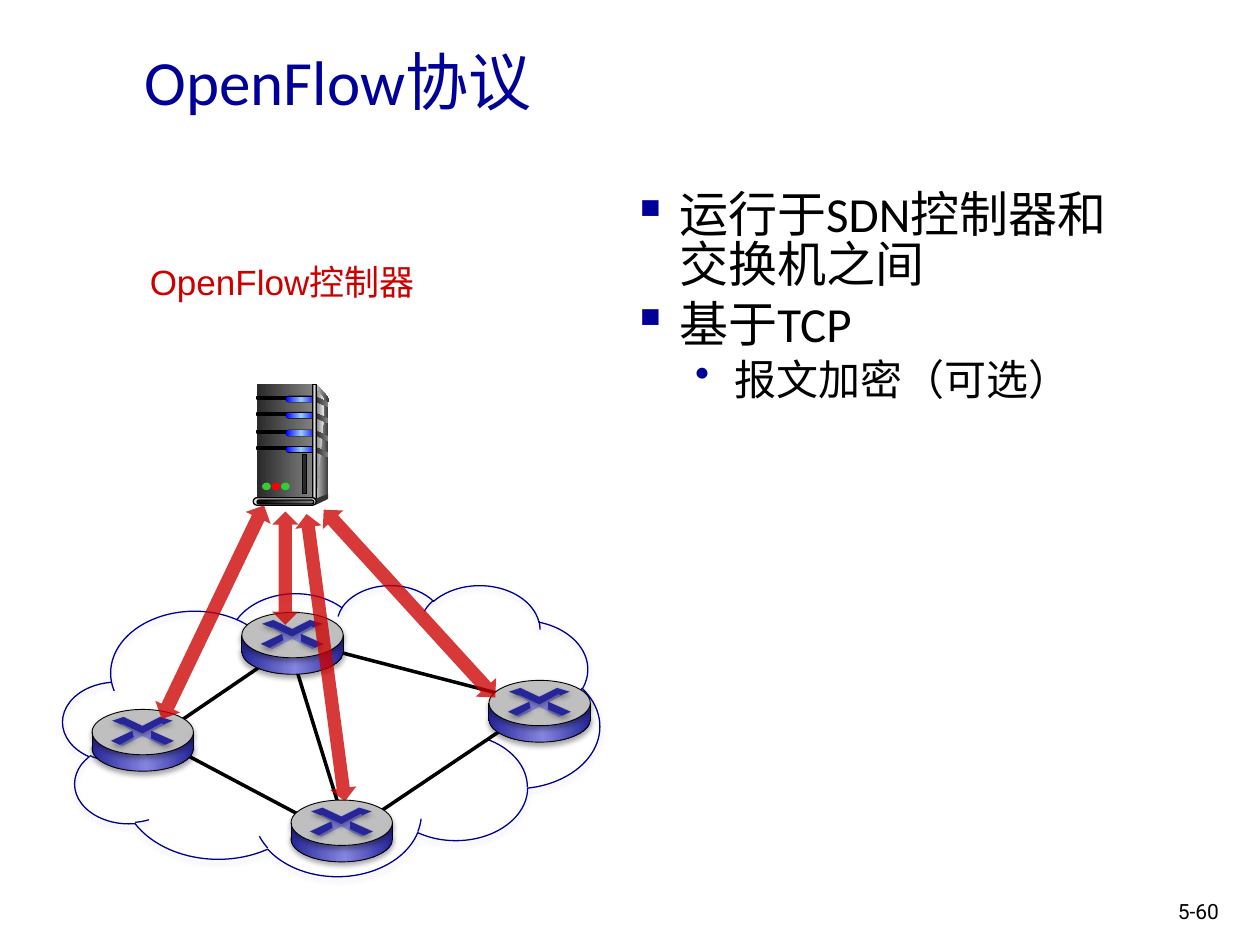
from dataclasses import dataclass
from typing import Optional

from pptx import Presentation
from pptx.dml.color import RGBColor
from pptx.enum.shapes import MSO_CONNECTOR, MSO_SHAPE
from pptx.enum.text import MSO_ANCHOR
from pptx.oxml import parse_xml
from pptx.oxml.ns import nsdecls, qn
from pptx.util import Pt
from lxml.etree import SubElement

BLACK = RGBColor(0, 0, 0)
NAVY = RGBColor(0x00, 0x00, 0x99)
CLOUD_LINE = RGBColor(0x00, 0x00, 0x90)
LILAC = RGBColor(0xA5, 0xA5, 0xE9)
RED = RGBColor(0xCC, 0x00, 0x00)
BLUE = RGBColor(0x00, 0x00, 0xFF)
SKY = RGBColor(0x99, 0xCC, 0xFF)
INDIGO = RGBColor(0x26, 0x26, 0x99)
PERIWINKLE = RGBColor(0x85, 0x85, 0xE0)
SILVER = RGBColor(0xBF, 0xBF, 0xBF)
PALE = RGBColor(0xDD, 0xDD, 0xDD)
WHITE_GRAY = RGBColor(0xF8, 0xF8, 0xF8)
GRAY = RGBColor(0x80, 0x80, 0x80)
CHARCOAL = RGBColor(0x33, 0x33, 0x33)
DARK = RGBColor(0x29, 0x29, 0x29)
GREEN = RGBColor(0x33, 0xCC, 0x33)
LAMP_RED = RGBColor(0xFF, 0x00, 0x00)
CJK_FONT = "Noto Sans CJK SC"

METAL = ((0, DARK), (100, GRAY))
LED = ((0, BLUE), (50, SKY), (100, BLUE))
ROUTER_SIDE = ((0, INDIGO), (53, PERIWINKLE), (100, INDIGO))


@dataclass
class Style:
    fill: object = None
    line: Optional[RGBColor] = None
    width: float = 0.75
    shadow: Optional[RGBColor] = None
    opacity: int = 100


@dataclass
class Bullet:
    text: str
    size: float
    mark: str
    left: float
    hang: float
    level: int = 0


@dataclass
class ControlArrow:
    x: float
    y: float
    width: float
    height: float
    angle: float


LIGHT_CROSS = [(28.8, 15.1), (17.3, 20.9), (14.4, 19.4), (23.8, 15.8), (23, 12.2),
               (16.6, 8.6), (18.7, 7.9), (28.8, 13), (38.9, 7.9), (41.8, 8.6),
               (34.6, 12.2), (36, 16.6), (43.2, 19.4), (40.3, 20.9)]
DARK_ARMS = [
    [(11.5, 6.5), (18, 4.3), (28.8, 9.4), (38.9, 4.3), (46.1, 6.5), (41, 8.6),
     (39.6, 7.9), (28.8, 13.7), (18, 8.6), (16.6, 8.6)],
    [(33.8, 12.2), (46.8, 18), (41.8, 20.2), (33.8, 16.6)],
    [(23, 12.2), (23.8, 15.8), (15.8, 20.2), (10.8, 18)],
]
ROUTERS = [(166.3, 457.2), (279.4, 388.8), (52.6, 405.4), (138.2, 350)]
LINKS = [(88.6, 421.9, 183.6, 357.1), (88.6, 421.9, 183.6, 472.3),
         (167.8, 377.3, 193, 458.6), (189.4, 371.5, 292.3, 398.2),
         (204.5, 472.3, 292.3, 413.3)]
ARROWS = [ControlArrow(178.6, 293, 15.1, 165.6, 352.4),
          ControlArrow(155.5, 292.3, 15.1, 64.8, 0),
          ControlArrow(226.1, 272.2, 15.8, 145.4, 317.6),
          ControlArrow(113.8, 282.2, 15.8, 135.4, 25.6)]
BULLETS = [Bullet("运行于SDN控制器和交换机之间", 28, "▪", 27, 27),
           Bullet("基于TCP", 28, "▪", 27, 27),
           Bullet("报文加密（可选）", 24, "•", 58.5, 22.5, 1)]


def add_effects(sp_pr, shadow: Optional[RGBColor]) -> None:
    for old in sp_pr.findall(qn("a:effectLst")):
        sp_pr.remove(old)
    effects = SubElement(sp_pr, qn("a:effectLst"))
    if shadow is not None:
        effects.append(parse_xml(
            f'<a:outerShdw {nsdecls("a")} blurRad="{Pt(3.1)}" dist="{Pt(1.8)}" dir="5400000" '
            f'rotWithShape="0"><a:srgbClr val="{shadow}"><a:alpha val="35000"/>'
            '</a:srgbClr></a:outerShdw>'))


def apply_style(s, style: Style) -> None:
    if style.fill is None:
        s.fill.background()
    elif isinstance(style.fill, RGBColor):
        s.fill.solid()
        s.fill.fore_color.rgb = style.fill
        if style.opacity < 100:
            color = s._element.spPr.find(qn("a:solidFill"))[0]
            SubElement(color, qn("a:alpha")).set("val", str(style.opacity * 1000))
    else:
        s.fill.gradient()
        s.fill.gradient_angle = 0
        stops = s._element.spPr.find(qn("a:gradFill")).find(qn("a:gsLst"))
        for stop in list(stops):
            stops.remove(stop)
        for position, rgb in style.fill:
            gs = SubElement(stops, qn("a:gs"), pos=str(position * 1000))
            SubElement(gs, qn("a:srgbClr"), val=str(rgb))
    if style.line is None:
        s.line.fill.background()
    else:
        s.line.color.rgb = style.line
        s.line.width = Pt(style.width)
    s.shadow.inherit = False
    add_effects(s._element.spPr, style.shadow)


def add_preset(shapes, kind, x: float, y: float, w: float, h: float, style: Style):
    s = shapes.add_shape(kind, Pt(x), Pt(y), Pt(w), Pt(h))
    if kind == MSO_SHAPE.ROUNDED_RECTANGLE:
        s.adjustments[0] = 0.5
    apply_style(s, style)
    return s


def add_outline(shapes, points, style: Style, dx: float = 0, dy: float = 0) -> None:
    corners = [(Pt(x + dx), Pt(y + dy)) for x, y in points]
    builder = shapes.build_freeform(*corners[0], scale=1.0)
    builder.add_line_segments(corners[1:], close=True)
    apply_style(builder.convert_to_shape(), style)


def add_line(shapes, x1: float, y1: float, x2: float, y2: float, width: float,
             shadow: Optional[RGBColor] = None) -> None:
    c = shapes.add_connector(MSO_CONNECTOR.STRAIGHT, Pt(x1), Pt(y1), Pt(x2), Pt(y2))
    c.line.color.rgb = BLACK
    c.line.width = Pt(width)
    add_effects(c._element.spPr, shadow)


def format_run(r, size: float, font: str, color: RGBColor) -> None:
    r.font.size = Pt(size)
    r.font.name = font
    r.font.color.rgb = color
    SubElement(r._r.get_or_add_rPr(), qn("a:ea")).set("typeface", CJK_FONT)


def add_text(shapes, x: float, y: float, w: float, h: float, text: str, size: float,
             font: str, color: RGBColor, anchor=MSO_ANCHOR.TOP) -> None:
    tf = shapes.add_textbox(Pt(x), Pt(y), Pt(w), Pt(h)).text_frame
    tf.word_wrap = True
    tf.vertical_anchor = anchor
    tf.text = text
    format_run(tf.paragraphs[0].runs[0], size, font, color)


def add_bullets(shapes, x: float, y: float, w: float, h: float, bullets: list[Bullet]) -> None:
    tf = shapes.add_textbox(Pt(x), Pt(y), Pt(w), Pt(h)).text_frame
    tf.word_wrap = True
    for i, bullet in enumerate(bullets):
        p = tf.add_paragraph() if i else tf.paragraphs[0]
        p.text = bullet.text
        p.level = bullet.level
        p_pr = p._p.get_or_add_pPr()
        p_pr.set("marL", str(Pt(bullet.left)))
        p_pr.set("indent", str(Pt(-bullet.hang)))
        SubElement(SubElement(p_pr, qn("a:buClr")), qn("a:srgbClr"), val=str(NAVY))
        SubElement(p_pr, qn("a:buChar"), char=bullet.mark)
        p.line_spacing = 0.85
        if i:
            p.space_before = Pt(bullet.size * 0.2)
        format_run(p.runs[0], bullet.size, "Calibri", BLACK)


def add_server(shapes) -> None:
    rect, pill, oval = MSO_SHAPE.RECTANGLE, MSO_SHAPE.ROUNDED_RECTANGLE, MSO_SHAPE.OVAL
    add_outline(shapes, [(180.7, 219.6), (187.9, 227.5), (187.2, 283), (179.3, 285.8)],
                Style(((0, PALE), (100, CHARCOAL))))
    add_preset(shapes, rect, 146.9, 219.6, 31.7, 66.2, Style(METAL))
    add_outline(shapes, [(180.7, 223.2), (182.2, 224), (185.8, 229), (182.9, 262), (180.7, 283.7)],
                Style(((0, GRAY), (100, WHITE_GRAY))))
    for y in (226.1, 235.4, 245.5, 254.9):
        add_outline(shapes, [(180, 0), (187.6, 3.4), (187.6, 6), (180, 2.6)], Style(METAL), dy=y + 0.5)
        add_preset(shapes, rect, 146.9, y + 0.6, 18, 1.4, Style(BLACK, BLACK))
        add_preset(shapes, pill, 163.1, y, 17.6, 3.9, Style(BLACK))
        add_preset(shapes, pill, 163.4, y + 0.5, 17.3, 3.1, Style(LED))
    add_preset(shapes, rect, 178.6, 219.6, 2.2, 66.2,
               Style(((0, CHARCOAL), (50, PALE), (100, CHARCOAL)), BLACK))
    add_outline(shapes, [(180, 285.1), (180, 288.7), (187.5, 285.1), (187.5, 282.2)], Style(CHARCOAL))
    add_preset(shapes, pill, 144.7, 284.4, 36, 4.3, Style(PALE, BLACK))
    add_preset(shapes, pill, 146.9, 285.8, 32.4, 2.2, Style(((0, BLACK), (100, GRAY)), BLACK))
    for i, color in enumerate((GREEN, LAMP_RED, GREEN)):
        add_preset(shapes, oval, 149.8 + 5.4 * i, 275.8, 5, 4.3, Style(color))
    add_preset(shapes, rect, 172.8, 259.9, 2.2, 22.3, Style(DARK, BLACK))


def add_router(shapes, x: float, y: float) -> None:
    add_preset(shapes, MSO_SHAPE.OVAL, x, y + 9.4, 57.9, 25.9, Style(ROUTER_SIDE, BLACK, 0.5, BLACK))
    add_preset(shapes, MSO_SHAPE.RECTANGLE, x, y + 13, 58.1, 9.4, Style(ROUTER_SIDE))
    add_preset(shapes, MSO_SHAPE.OVAL, x, y, 57.9, 25.9, Style(SILVER, BLACK, 0.5, BLACK))
    add_outline(shapes, LIGHT_CROSS, Style(PERIWINKLE), x, y)
    for arm in DARK_ARMS:
        add_outline(shapes, arm, Style(INDIGO, shadow=BLACK), x, y)
    for side in (x, x + 58):
        add_line(shapes, side, y + 23, side, y + 13, 0.5, BLACK)


def main() -> None:
    prs = Presentation()
    prs.slide_width, prs.slide_height = Pt(720), Pt(540)
    shapes = prs.slides.add_slide(prs.slide_layouts[6]).shapes
    add_text(shapes, 75.6, 0.7, 612, 90, "OpenFlow协议", 36, "Calibri", NAVY, MSO_ANCHOR.MIDDLE)
    add_bullets(shapes, 354.2, 106.6, 300.2, 365.8, BULLETS)
    add_preset(shapes, MSO_SHAPE.CLOUD, 36, 334.1, 306.7, 166.3, Style(line=CLOUD_LINE, shadow=LILAC))
    for link in LINKS:
        add_line(shapes, *link, 2)
    add_server(shapes)
    add_text(shapes, 78.5, 145.4, 167, 31.7, "OpenFlow控制器", 20, "Arial", RED)
    for x, y in ROUTERS:
        add_router(shapes, x, y)
    for arrow in ARROWS:
        s = add_preset(shapes, MSO_SHAPE.UP_DOWN_ARROW, arrow.x, arrow.y, arrow.width,
                       arrow.height, Style(RED, opacity=78))
        s.rotation = arrow.angle
    add_text(shapes, 666, 509.8, 43.2, 21.6, "5-60", 12, "Roboto", BLACK)
    prs.save("out.pptx")


if __name__ == "__main__":
    main()
